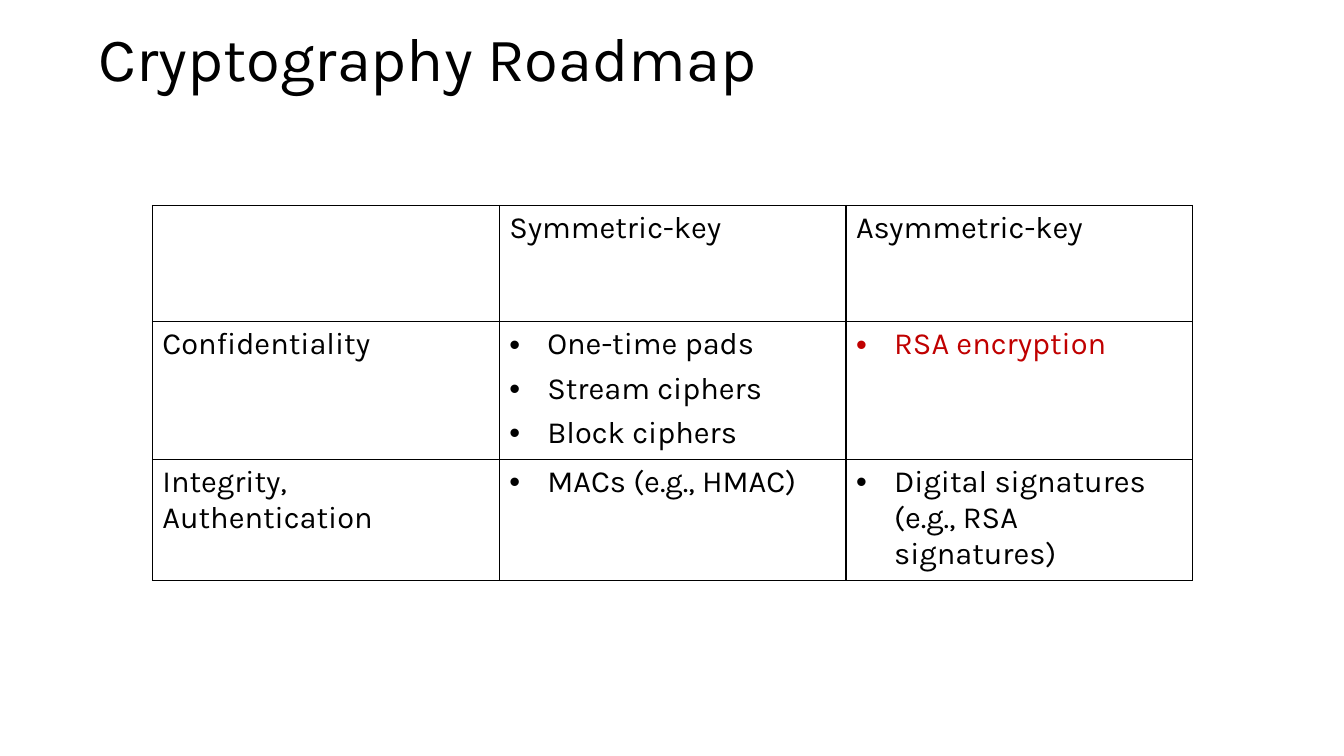
from dataclasses import dataclass

from lxml.etree import SubElement
from pptx import Presentation
from pptx.dml.color import RGBColor
from pptx.enum.text import MSO_ANCHOR
from pptx.oxml.ns import qn
from pptx.util import Cm, Pt


@dataclass(frozen=True)
class Theme:
    font: str = "Karla"
    title: int = 44
    body: int = 22
    ink: str = "000000"
    accent: str = "C00000"


theme = Theme()


def write(p, text, size, color, **spacing):
    r = p.add_run()
    r.text = text
    for name, value in {"name": theme.font, "size": Pt(size)}.items():
        setattr(r.font, name, value)
    r.font.color.rgb = RGBColor.from_string(color)
    for name, value in spacing.items():
        setattr(p, name, value)


def add_border(cell):
    tcPr = cell._tc.get_or_add_tcPr()
    for side in ("lnL", "lnR", "lnT", "lnB"):
        ln = SubElement(tcPr, qn(f"a:{side}"), w=str(Pt(1)))
        fill = SubElement(ln, qn("a:solidFill"))
        SubElement(fill, qn("a:srgbClr"), val=theme.ink)


prs = Presentation()
prs.slide_width, prs.slide_height = Cm(33.87), Cm(19.05)
s = prs.slides.add_slide(prs.slide_layouts[6])

# Title
sp = s.shapes.add_textbox(Cm(2.24), Cm(0.53), Cm(31.06), Cm(2.06))
tf = sp.text_frame
tf.word_wrap = True
tf.vertical_anchor = MSO_ANCHOR.MIDDLE
write(tf.paragraphs[0], "Cryptography Roadmap", theme.title, theme.ink,
      line_spacing=0.9)

# Roadmap: each cell is a list of paragraphs
roadmap = [
    [[], ["Symmetric-key"], ["Asymmetric-key"]],
    [["Confidentiality"],
     ["One-time pads", "Stream ciphers", "Block ciphers"],
     ["RSA encryption"]],
    [["Integrity,", "Authentication"],
     ["MACs (e.g., HMAC)"],
     ["Digital signatures (e.g., RSA signatures)"]],
]
highlighted = "RSA encryption"

# Table
table = s.shapes.add_table(3, 3, Cm(3.84), Cm(5.18), Cm(26.22), Cm(8.76)).table
table.first_row = table.horz_banding = False
for row in table.rows:
    row.height = Cm(2.92)
for col in table.columns:
    col.width = Cm(8.74)

for i, row in enumerate(roadmap):
    for j, lines in enumerate(row):
        cell = table.cell(i, j)
        add_border(cell)
        cell.fill.background()
        tf = cell.text_frame
        for k, line in enumerate(lines):
            p = tf.add_paragraph() if k else tf.paragraphs[0]
            color = theme.accent if line == highlighted else theme.ink
            bulleted = i > 0 and j > 0
            gap = Pt(6) if bulleted and len(lines) > 1 else Pt(0)
            write(p, line, theme.body, color, space_after=gap)
            if bulleted:
                pPr = p._p.get_or_add_pPr()
                pPr.set("marL", str(Cm(0.96)))
                pPr.set("indent", str(Cm(-0.96)))
                SubElement(pPr, qn("a:buFont"), typeface="Arial")
                SubElement(pPr, qn("a:buChar"), char="•")

prs.save("out.pptx")
